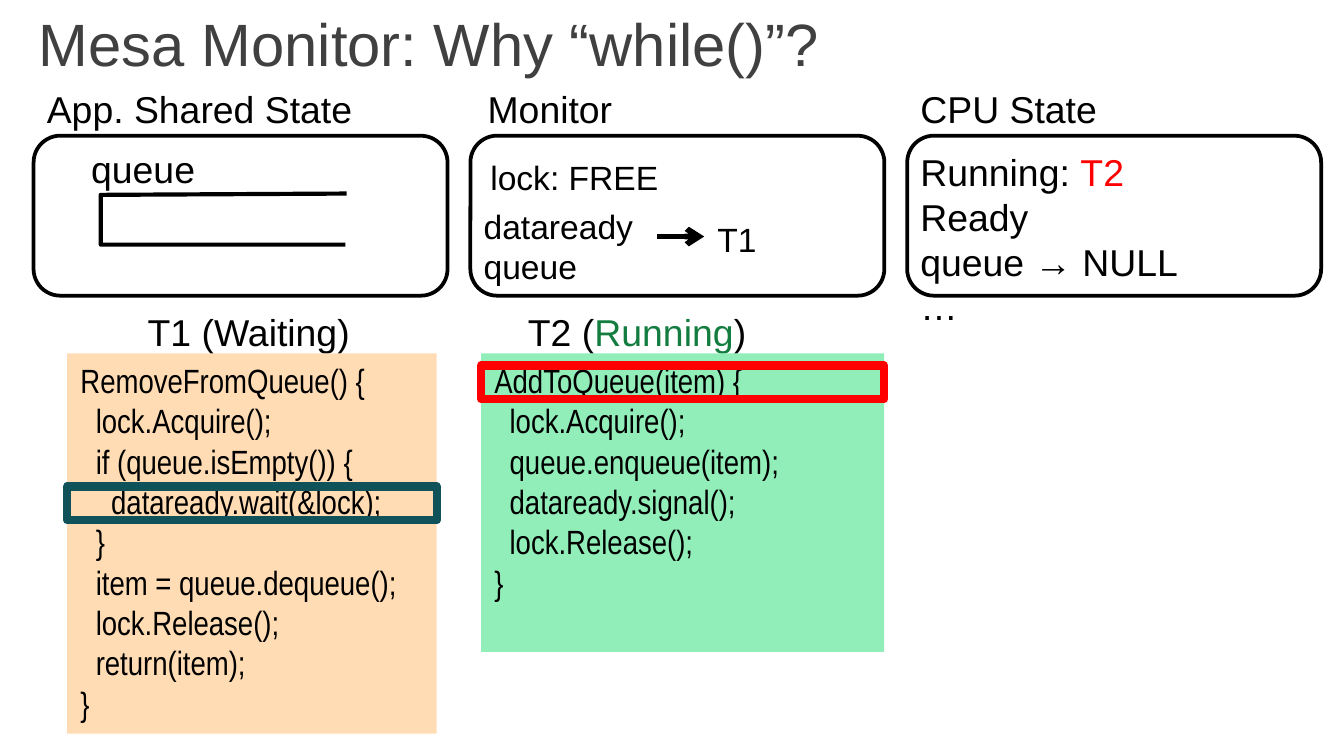
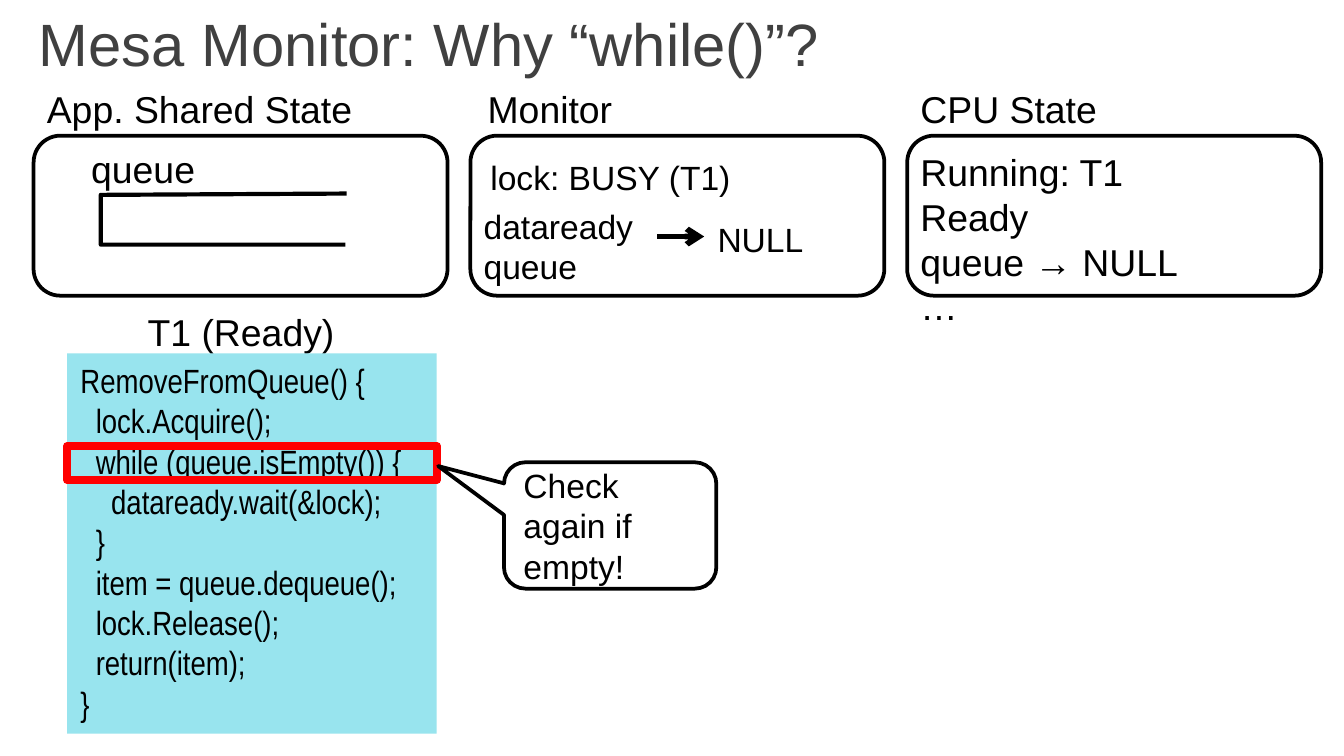
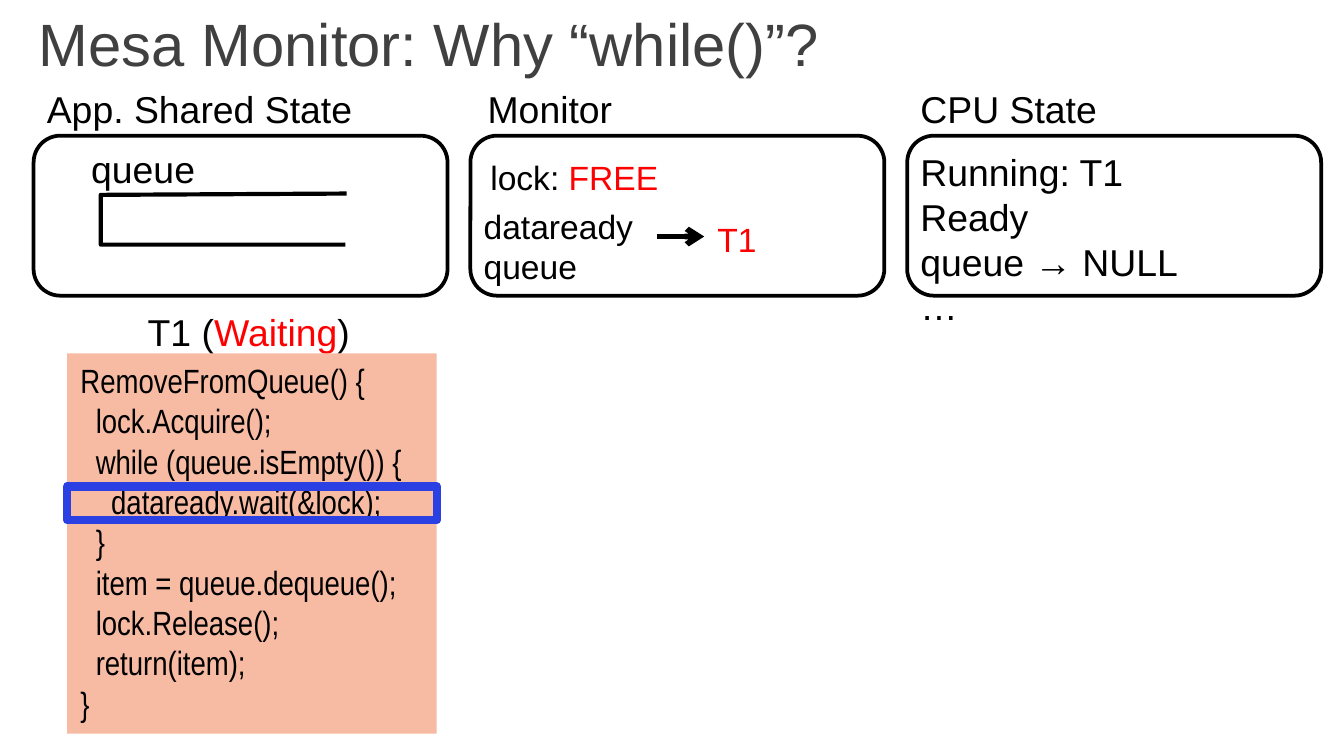
from lxml import etree
from pptx import Presentation
from pptx.dml.color import RGBColor
from pptx.enum.shapes import MSO_CONNECTOR, MSO_SHAPE
from pptx.enum.text import MSO_ANCHOR, MSO_AUTO_SIZE, PP_ALIGN
from pptx.oxml.ns import qn
from pptx.util import Inches, Pt

RECTANGLE = MSO_SHAPE.RECTANGLE
ROUNDED = MSO_SHAPE.ROUNDED_RECTANGLE
CALLOUT = MSO_SHAPE.ROUNDED_RECTANGULAR_CALLOUT
STRAIGHT = MSO_CONNECTOR.STRAIGHT
TOP, MIDDLE = MSO_ANCHOR.TOP, MSO_ANCHOR.MIDDLE
GROW = MSO_AUTO_SIZE.SHAPE_TO_FIT_TEXT
LEFT = PP_ALIGN.LEFT

SLIDE_WIDTH = 10
SLIDE_HEIGHT = SLIDE_WIDTH * 9 / 16
TITLE = "Mesa Monitor: Why “while()”?"
TITLE_ONLY_LAYOUT = 5

BLACK, WHITE, GREY = "000000", "FFFFFF", "404040"
RED, GREEN, TEAL, BLUE = "FF0000", "137D40", "0F525A", "2A40E2"
PEACH, MINT, CYAN, SALMON = "FFDCB4", "91EEB9", "98E4EE", "F7BBA4"

FONT, CODE_FONT = "Arial", "Arial Narrow"
LABEL_SIZE, BODY_SIZE = 20, 18

COLUMN_START, COLUMN_STEP, COLUMN_WIDTH = 0.25, 3.25, 3.08
HEADING_TOP, BOX_TOP, BOX_HEIGHT = 0.59, 1.01, 1.19
THREAD_TOP, CODE_TOP = 2.25, 2.63
CODE_ROW, CODE_MARGIN = 0.3, 0.09
SPACES_PER_INCH = 17.5

REMOVE_CODE = """RemoveFromQueue() {
  lock.Acquire();
  %s (queue.isEmpty()) {
    dataready.wait(&lock);
  }
  item = queue.dequeue();
  lock.Release();
  return(item);
}"""
ADD_CODE = """AddToQueue(item) {
  lock.Acquire();
  queue.enqueue(item);
  dataready.signal();
  lock.Release();
}"""


def color(value):
    return RGBColor.from_string(value)


def column_left(column):
    return COLUMN_START + column * COLUMN_STEP


def inches(*lengths):
    return [Inches(length) for length in lengths]


def write(text_frame, text, size, font=FONT, accent=RED):
    """Fill the frame; words between | marks take the accent colour, leading spaces become indents."""
    for number, line in enumerate(text.split("\n")):
        paragraph = text_frame.paragraphs[0] if number == 0 else text_frame.add_paragraph()
        paragraph.alignment = LEFT
        words = line.lstrip()
        indent = Inches((len(line) - len(words)) / SPACES_PER_INCH)
        if indent:
            paragraph._p.get_or_add_pPr().set("marL", str(indent))
        for part, piece in enumerate(words.split("|")):
            if piece:
                run = paragraph.add_run()
                run.text = piece
                run.font.name = font
                run.font.size = Pt(size)
                run.font.color.rgb = color(accent if part % 2 else BLACK)


def add_label(slide, text, left, top, width, height=0.44, size=LABEL_SIZE, accent=RED):
    label = slide.shapes.add_textbox(*inches(left, top, width, height))
    label.text_frame.word_wrap = False
    label.text_frame.auto_size = GROW
    write(label.text_frame, text, size, accent=accent)


def add_box(slide, kind, left, top, width, height, fill=None, line=None, weight=2):
    box = slide.shapes.add_shape(kind, *inches(left, top, width, height))
    box.shadow.inherit = False
    if fill:
        box.fill.solid()
        box.fill.fore_color.rgb = color(fill)
    else:
        box.fill.background()
    if line:
        box.line.color.rgb = color(line)
        box.line.width = Pt(weight)
    else:
        box.line.fill.background()
    return box


def add_title(slide):
    title = slide.shapes.title
    title.left, title.top, title.width, title.height = inches(0.19, -0.15, 9.68, 0.94)
    frame = title.text_frame
    frame.text = TITLE
    frame.vertical_anchor = MIDDLE
    paragraph = frame.paragraphs[0]
    paragraph.alignment = LEFT
    font = paragraph.runs[0].font
    font.name, font.size = FONT, Pt(32)
    font.color.rgb = color(GREY)


def add_state_box(slide, column, heading, heading_left, heading_width):
    add_box(slide, ROUNDED, column_left(column), BOX_TOP, COLUMN_WIDTH, BOX_HEIGHT, line=BLACK)
    add_label(slide, heading, heading_left, HEADING_TOP, heading_width)


def add_queue(slide):
    """Draw the empty queue, open on the right."""
    add_label(slide, "queue", 0.58, 1.04, 0.98)
    start, *corners = [(2.58, 1.44), (0.75, 1.45), (0.75, 1.82), (2.57, 1.82)]
    builder = slide.shapes.build_freeform(*inches(*start))
    builder.add_line_segments([inches(*corner) for corner in corners], close=False)
    outline = builder.convert_to_shape()
    outline.shadow.inherit = False
    outline.fill.background()
    outline.line.color.rgb = color(BLACK)
    outline.line.width = Pt(2.25)


def add_arrow(slide, left, right, y):
    arrow = slide.shapes.add_connector(STRAIGHT, *inches(left, y, right, y))
    arrow.line.color.rgb = color(BLACK)
    arrow.line.width = Pt(3)
    etree.SubElement(arrow.line._get_or_add_ln(), qn("a:tailEnd"), type="arrow")
    etree.SubElement(arrow._element.spPr, qn("a:effectLst"))


def add_monitor(slide, lock, lock_width, waiting, waiting_width):
    left = column_left(1)
    add_label(slide, "lock: " + lock, left + 0.05, 1.12, lock_width, 0.4, BODY_SIZE)
    add_label(slide, "dataready\nqueue", left, 1.48, 1.32, 0.71, BODY_SIZE)
    add_arrow(slide, 4.89, 5.24, 1.76)
    add_label(slide, waiting, 5.24, 1.58, waiting_width, 0.4, BODY_SIZE)


def add_code(slide, code, left, width, height, fill, current_row, frame_color):
    """Add a code panel and frame the row that is being executed."""
    panel = add_box(slide, RECTANGLE, left, CODE_TOP, width, height, fill)
    panel.text_frame.word_wrap = True
    panel.text_frame.vertical_anchor = TOP
    write(panel.text_frame, code, BODY_SIZE, CODE_FONT)
    row_top = CODE_TOP + CODE_MARGIN + current_row * CODE_ROW
    add_box(slide, RECTANGLE, left, row_top, width, 0.25, line=frame_color, weight=4.5)


def add_remove_thread(slide, state, state_width, keyword, fill, current_row, frame_color):
    add_label(slide, f"T1 ({state})", 1, THREAD_TOP, state_width)
    add_code(slide, REMOVE_CODE % keyword, 0.5, 2.75, 2.83, fill, current_row, frame_color)


def add_add_thread(slide):
    add_label(slide, "T2 (|Running|)", 3.83, THREAD_TOP, 1.84, accent=GREEN)
    add_code(slide, ADD_CODE, 3.58, 3, 2.22, MINT, 0, RED)


def add_callout(slide, text):
    callout = add_box(slide, CALLOUT, 3.75, 3.44, 1.58, 0.94, WHITE, BLACK)
    for index, value in enumerate((-0.81, -0.47, 0.17)):
        callout.adjustments[index] = value
    callout.text_frame.word_wrap = True
    callout.text_frame.vertical_anchor = MIDDLE
    write(callout.text_frame, text, BODY_SIZE)


def add_monitor_slide(presentation, running, **monitor):
    slide = presentation.slides.add_slide(presentation.slide_layouts[TITLE_ONLY_LAYOUT])
    add_title(slide)
    add_state_box(slide, 0, "App. Shared State", 0.25, 2.49)
    add_queue(slide)
    add_state_box(slide, 1, "Monitor", 3.53, 1.14)
    add_monitor(slide, **monitor)
    add_state_box(slide, 2, "CPU State", 6.75, 1.53)
    add_label(slide, f"Running: {running}\nReady\nqueue → NULL\n…", column_left(2), 1.06, 2.13, 1.45)
    return slide


def main():
    presentation = Presentation()
    presentation.slide_width, presentation.slide_height = inches(SLIDE_WIDTH, SLIDE_HEIGHT)

    signalling = add_monitor_slide(presentation, "|T2|", lock="FREE", lock_width=1.46,
                                   waiting="T1", waiting_width=0.5)
    add_remove_thread(signalling, "Waiting", 1.72, "if", PEACH, 3, TEAL)
    add_add_thread(signalling)

    checking = add_monitor_slide(presentation, "T1", lock="BUSY (T1)", lock_width=2.01,
                                 waiting="NULL", waiting_width=0.85)
    add_remove_thread(checking, "Ready", 1.6, "while", CYAN, 2, RED)
    add_callout(checking, "Check again if empty!")

    sleeping = add_monitor_slide(presentation, "T1", lock="|FREE|", lock_width=1.46,
                                 waiting="|T1|", waiting_width=0.5)
    add_remove_thread(sleeping, "|Waiting|", 1.72, "while", SALMON, 3, BLUE)

    presentation.save("out.pptx")


if __name__ == "__main__":
    main()
